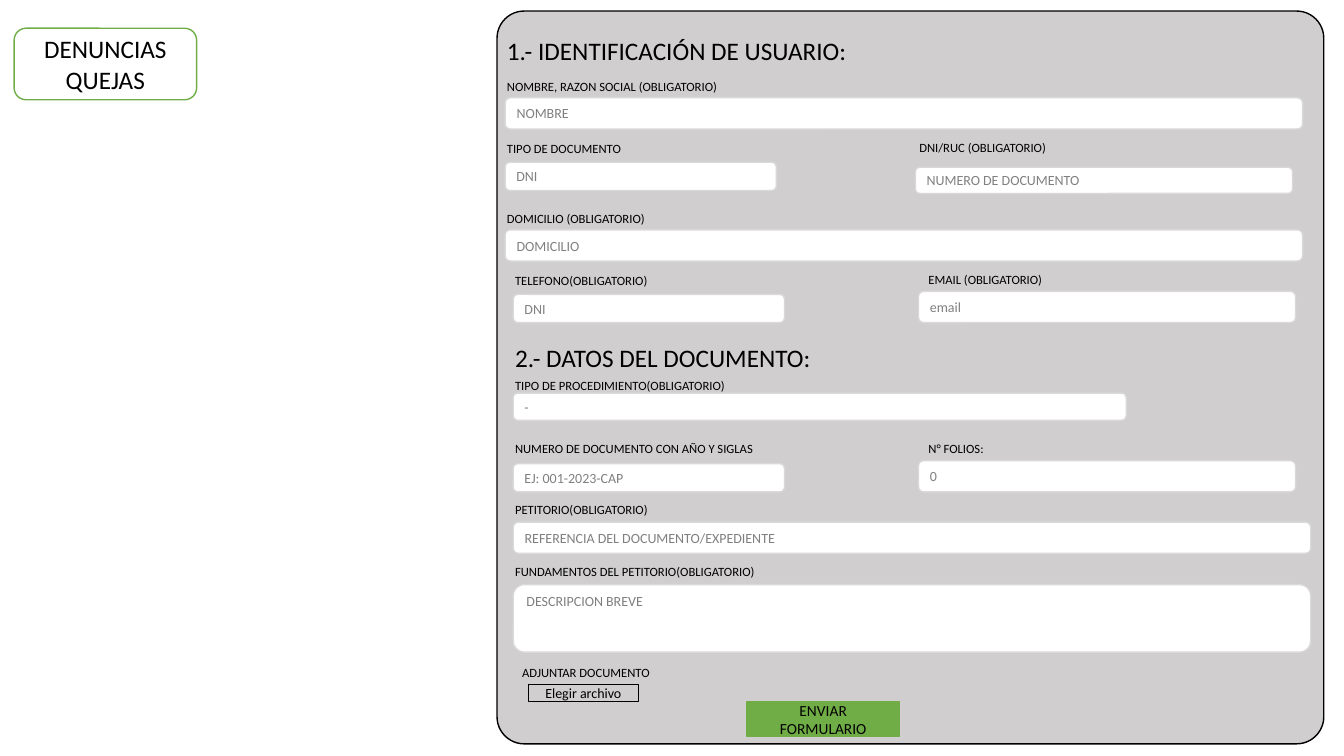
import pptx
import pptx.util
import pptx.dml.color
import pptx.enum.shapes
import pptx.enum.text

Inches = pptx.util.Inches
SHAPE = pptx.enum.shapes.MSO_SHAPE
ANCHOR = pptx.enum.text.MSO_ANCHOR
ALIGN = pptx.enum.text.PP_ALIGN

FONT = "Calibri"
COLORS = {"white": "FFFFFF", "black": "000000", "panel": "D0CECE",
          "green": "70AD47", "border": "D9D9D9", "hint": "808080"}

# Section headings: text, left, top, width
HEADINGS = [
    ("1.- IDENTIFICACIÓN DE USUARIO:", 4.93, 0.3, 3.61),
    ("2.- DATOS DEL DOCUMENTO:", 5.01, 3.35, 3.18),
]

# Field widths
FULL, LONG, RIGHT, LEFT = 7.91, 6.08, 3.74, 2.69
LABEL_W = 2.34

# Fields: label, (left, top, width) of label, hint, (left, top, width, height) of box
FIELDS = [
    ("NOMBRE, RAZON SOCIAL (OBLIGATORIO)", (4.93, 0.73, LABEL_W),
     "NOMBRE", (5.01, 0.97, FULL, 0.31)),
    ("TIPO DE DOCUMENTO", (4.93, 1.35, LABEL_W),
     "DNI", (5.01, 1.61, LEFT, 0.28)),
    ("DNI/RUC (OBLIGATORIO)", (9.02, 1.34, LABEL_W),
     "NUMERO DE DOCUMENTO", (9.08, 1.66, RIGHT, 0.26)),
    ("DOMICILIO (OBLIGATORIO)", (4.93, 2.04, LABEL_W),
     "DOMICILIO", (5.01, 2.28, FULL, 0.31)),
    ("TELEFONO(OBLIGATORIO)", (5.01, 2.66, LABEL_W),
     "DNI", (5.09, 2.92, LEFT, 0.28)),
    ("EMAIL (OBLIGATORIO)", (9.11, 2.65, LABEL_W),
     "email", (9.11, 2.89, RIGHT, 0.31)),
    ("TIPO DE PROCEDIMIENTO(OBLIGATORIO)", (5.01, 3.7, LABEL_W),
     "-", (5.09, 3.9, LONG, 0.27)),
    ("NUMERO DE DOCUMENTO CON AÑO Y SIGLAS", (5.01, 4.33, 2.57),
     "EJ: 001-2023-CAP", (5.09, 4.6, LEFT, 0.28)),
    ("N° FOLIOS:", (9.11, 4.33, LABEL_W),
     "0", (9.11, 4.57, RIGHT, 0.31)),
    ("PETITORIO(OBLIGATORIO)", (5.01, 4.93, LABEL_W),
     "REFERENCIA DEL DOCUMENTO/EXPEDIENTE", (5.09, 5.18, FULL, 0.31)),
    ("FUNDAMENTOS DEL PETITORIO(OBLIGATORIO)", (5.01, 5.55, 3.36),
     "DESCRIPCION BREVE", (5.09, 5.8, FULL, 0.67)),
]
SINGLE_LINE_MAX = 0.4  # taller boxes hold text from the top

# Buttons: text, box, fill, line, size
BUTTONS = [
    ("Elegir archivo", (5.24, 6.79, 1.09, 0.17), "panel", "black", 10),
    ("ENVIAR FORMULARIO", (7.41, 6.96, 1.51, 0.35), "green", "green", 11),
]

prs = pptx.Presentation()
prs.slide_width, prs.slide_height = Inches(13.33), Inches(7.5)
slide = prs.slides.add_slide(prs.slide_layouts[6])


def rgb(name):
    return pptx.dml.color.RGBColor.from_string(COLORS[name])


def write(sp, text, size, color="black", align=ALIGN.LEFT, anchor=ANCHOR.TOP, wrap=True):
    tf = sp.text_frame
    tf.word_wrap = wrap
    tf.vertical_anchor = anchor
    p = tf.paragraphs[0]
    p.alignment = align
    r = p.add_run()
    r.text = text
    r.font.name = FONT
    r.font.size = pptx.util.Pt(size)
    r.font.color.rgb = rgb(color)


def add_box(kind, box, fill, line):
    sp = slide.shapes.add_shape(kind, *map(Inches, box))
    sp.shadow.inherit = False
    sp.fill.solid()
    sp.fill.fore_color.rgb = rgb(fill)
    sp.line.color.rgb = rgb(line)
    sp.line.width = pptx.util.Pt(1)
    return sp


def add_label(text, left, top, width, size, wrap=True):
    sp = slide.shapes.add_textbox(*map(Inches, (left, top, width, 0.4)))
    write(sp, text, size, wrap=wrap)


# Title tag
tag = add_box(SHAPE.ROUNDED_RECTANGLE, (0.14, 0.28, 1.81, 0.71), "white", "green")
write(tag, "DENUNCIAS QUEJAS", 18, align=ALIGN.CENTER, anchor=ANCHOR.MIDDLE)

# Form panel
panel = add_box(SHAPE.ROUNDED_RECTANGLE, (4.93, 0.11, 8.2, 7.27), "panel", "black")
panel.adjustments[0] = 0.037

# Headings
for text, left, top, width in HEADINGS:
    add_label(text, left, top, width, 18, wrap=False)

# Labelled fields
for label, place, hint, box in FIELDS:
    add_label(label, *place, 9)
    anchor = ANCHOR.MIDDLE if box[3] < SINGLE_LINE_MAX else ANCHOR.TOP
    field = add_box(SHAPE.ROUNDED_RECTANGLE, box, "white", "border")
    write(field, hint, 10, "hint", anchor=anchor)

# Attachment and submit buttons
add_label("ADJUNTAR DOCUMENTO", 5.08, 6.55, 1.51, 9)
for text, box, fill, line, size in BUTTONS:
    button = add_box(SHAPE.RECTANGLE, box, fill, line)
    write(button, text, size, align=ALIGN.CENTER, anchor=ANCHOR.MIDDLE)

prs.save("out.pptx")
